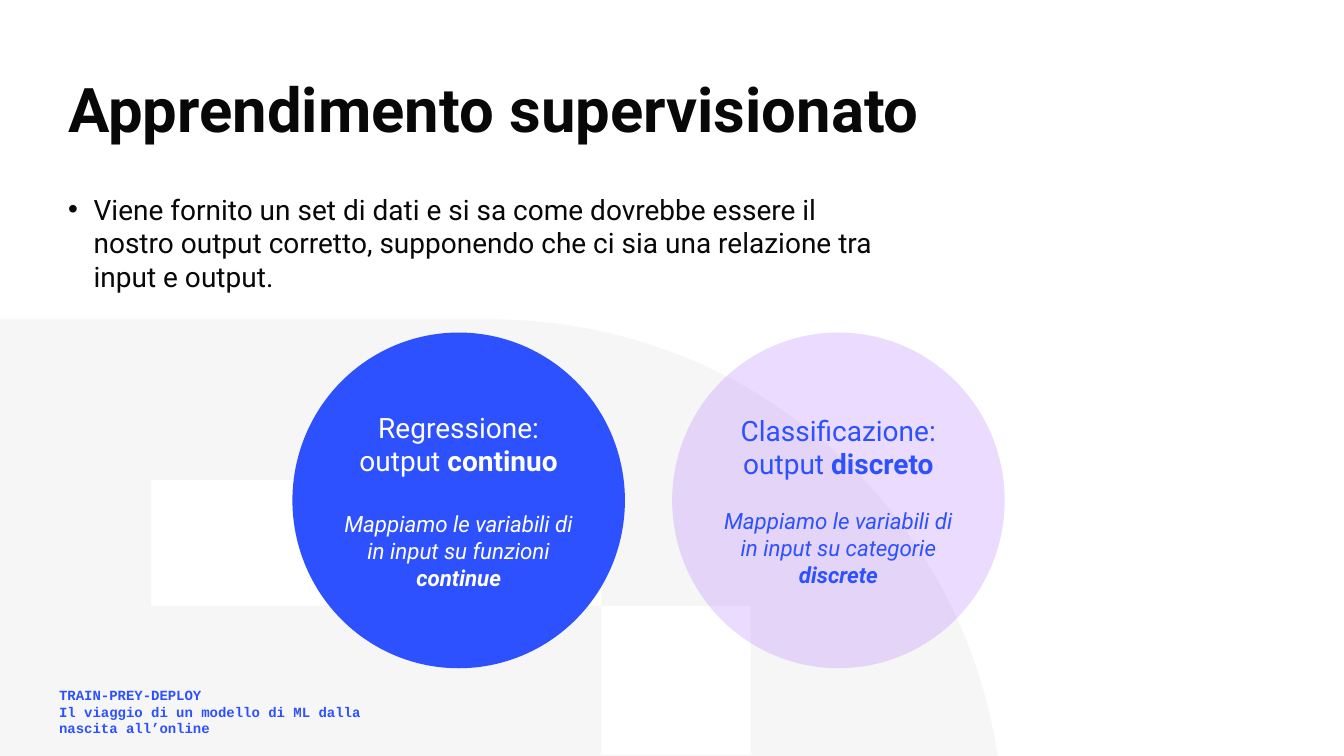
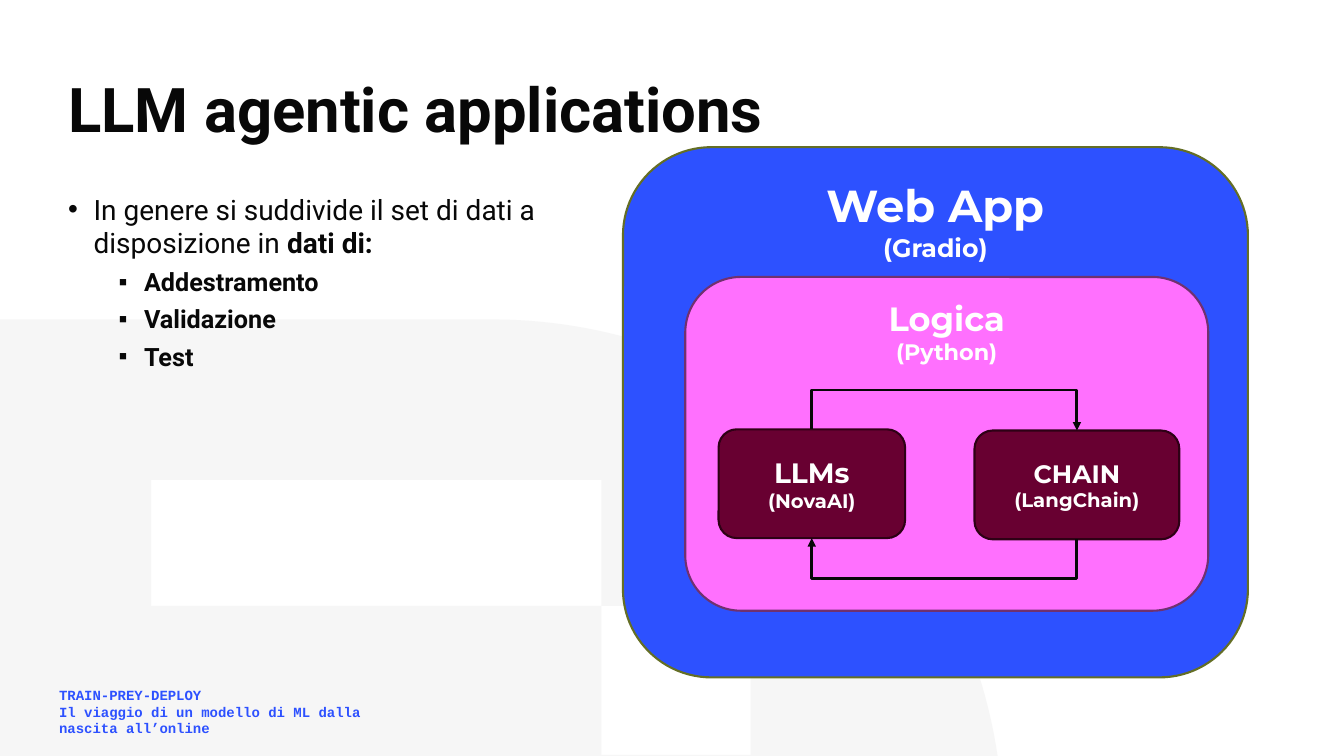
"""Build two slides on supervised learning and LLM applications."""
import dataclasses
import math

import lxml.etree
import pptx
import pptx.dml.color
import pptx.enum.shapes
import pptx.enum.text
import pptx.oxml.ns
import pptx.util

Cm = pptx.util.Cm
Pt = pptx.util.Pt
qn = pptx.oxml.ns.qn
Preset = pptx.enum.shapes.MSO_SHAPE
Align = pptx.enum.text.PP_ALIGN
Anchor = pptx.enum.text.MSO_ANCHOR


@dataclasses.dataclass(frozen=True)
class Theme:
    """Colours, fonts and type sizes of the deck."""

    ink: str = "080808"
    blue: str = "2D51FF"
    lilac: str = "C294FF"
    pink: str = "FF70FE"
    wine: str = "680031"
    white: str = "FFFFFF"
    emblem: str = "E6E6E6"
    olive_edge: str = "646E25"
    plum_edge: str = "70316F"
    wine_edge: str = "2E0015"
    text_font: str = "Roboto"
    diagram_font: str = "Montserrat"
    footer_font: str = "Courier New"
    title_size: int = 44
    app_size: int = 32
    logic_size: int = 24
    body_size: int = 20
    item_size: int = 18
    detail_size: int = 16
    small_size: int = 14
    footer_size: int = 10
    edge_width: float = 1.5
    arrow_width: float = 2


THEME = Theme()


@dataclasses.dataclass
class Line:
    """One paragraph: its runs, type format, spacing and bullet."""

    runs: list
    size: int
    bold: bool = False
    italic: bool = False
    before: float = 0
    bullet: str = ""
    indent: float = 0


def rgb(value):
    """Return a colour from its hex value."""
    return pptx.dml.color.RGBColor.from_string(value)


def add_child(parent, tag, **attributes):
    """Append a drawing element and return it."""
    return lxml.etree.SubElement(parent, qn(tag), attributes)


def apply_format(target, values):
    """Set attributes from a dict of values."""
    for name, value in values.items():
        setattr(target, name, value)


def set_bullet(paragraph, mark, indent):
    """Give a paragraph a bullet with a hanging indent."""
    properties = paragraph._p.get_or_add_pPr()
    properties.set("marL", str(Cm(indent)))
    properties.set("indent", str(-Cm(0.64)))
    add_child(properties, "a:buFont", typeface="Arial")
    add_child(properties, "a:buChar", char=mark)


def write(frame, lines, font, color, paragraph_format=None, **frame_format):
    """Fill a text frame with lines; a run marked True is bold."""
    apply_format(frame, {"word_wrap": True, **frame_format})
    for index, line in enumerate(lines):
        paragraph = frame.paragraphs[0] if index == 0 else frame.add_paragraph()
        if line.bullet:
            set_bullet(paragraph, line.bullet, line.indent)
        if line.before:
            paragraph.space_before = Pt(line.before)
        apply_format(paragraph, paragraph_format or {})
        for text, strong in line.runs:
            run = paragraph.add_run()
            run.text = text
            apply_format(run.font, {
                "name": font,
                "size": Pt(line.size),
                "bold": line.bold or strong,
                "italic": line.italic,
            })
            run.font.color.rgb = rgb(color)


def add_text(slide, box, lines, font, color, paragraph_format=None, **frame_format):
    """Add a text box at left, top, width, height in centimetres."""
    frame = slide.shapes.add_textbox(*map(Cm, box)).text_frame
    write(frame, lines, font, color, paragraph_format, **frame_format)


def paint(shape, fill, alpha=100, edge=None):
    """Set fill, opacity in percent and outline of a shape."""
    shape.shadow.inherit = False
    shape.fill.solid()
    shape.fill.fore_color.rgb = rgb(fill)
    if alpha < 100:
        color = shape._element.spPr.find(qn("a:solidFill"))[0]
        add_child(color, "a:alpha", val=str(alpha * 1000))
    if edge:
        shape.line.color.rgb = rgb(edge)
        shape.line.width = Pt(THEME.edge_width)
    else:
        shape.line.fill.background()


def add_emblem(slide):
    """Draw the pale rounded emblem with its two openings."""
    bottom, radius, center_x, center_y = 19.05, 12.88, 12.4, 20.93
    low = math.asin((center_y - bottom) / radius)
    steps = 60
    angles = [math.pi / 2 + (low - math.pi / 2) * i / steps for i in range(steps + 1)]
    arc = [
        (center_x + radius * math.cos(angle), center_y - radius * math.sin(angle))
        for angle in angles
    ]
    outline = [(0, bottom), (0, center_y - radius), *arc]
    openings = [(3.81, 12.09, 15.16, 15.27), (15.16, 15.27, 18.92, 19.02)]
    contours = [outline] + [
        [(left, top), (left, base), (right, base), (right, top)]
        for left, top, right, base in openings
    ]
    builder = None
    for contour in contours:
        start, *others = [(Cm(x), Cm(y)) for x, y in contour]
        if builder is None:
            builder = slide.shapes.build_freeform(*start)
        else:
            builder.move_to(*start)
        builder.add_line_segments(others, close=True)
    paint(builder.convert_to_shape(), THEME.emblem, alpha=34)


def add_page(deck, title):
    """Add a slide with the shared emblem, footer and title."""
    slide = deck.slides.add_slide(deck.slide_layouts[6])
    add_emblem(slide)
    footer = ["TRAIN-PREY-DEPLOY", "Il viaggio di un modello di ML dalla nascita all’online"]
    add_text(
        slide, (1.24, 17.17, 9.68, 1.12),
        [Line([(text, True)], THEME.footer_size) for text in footer],
        THEME.footer_font, THEME.blue,
    )
    add_text(
        slide, (1.47, 1.57, 25.12, 2.54), [Line([(title, True)], THEME.title_size)],
        THEME.text_font, THEME.ink, {"line_spacing": 0.9}, vertical_anchor=Anchor.MIDDLE,
    )
    return slide


def add_body(slide, width, height, runs, items=()):
    """Add the bulleted text with its second-level items."""
    lines = [Line(runs, THEME.body_size, bullet="•", indent=0.64)]
    lines += [
        Line([(item, True)], THEME.item_size, before=5, bullet="▪", indent=1.91)
        for item in items
    ]
    add_text(slide, (1.47, 4.72, width, height), lines, THEME.text_font, THEME.ink)


def add_task_circle(slide, left, fill, alpha, color, heading, output, mapping, gap):
    """Add a circle that explains one learning task."""
    circle = slide.shapes.add_shape(
        Preset.OVAL, Cm(left), Cm(8.38), Cm(8.38), Cm(8.46))
    paint(circle, fill, alpha)
    explanation = [
        ("Mappiamo le variabili di", False, gap),
        (mapping[0], False, 0),
        (mapping[1], True, 0),
    ]
    lines = [
        Line([(heading, False)], THEME.body_size),
        Line([("output ", False), (output, True)], THEME.body_size),
    ] + [
        Line([(text, strong)], THEME.detail_size, italic=True, before=before)
        for text, strong, before in explanation
    ]
    margins = {f"margin_{side}": 0 for side in ("left", "top", "right", "bottom")}
    write(
        circle.text_frame, lines, THEME.text_font, color, {"alignment": Align.CENTER},
        vertical_anchor=Anchor.MIDDLE, **{**margins, "word_wrap": False},
    )


def add_layer(slide, box, fill, edge, name, tool, sizes, anchor=Anchor.TOP):
    """Add a rounded box with a name and the tool behind it."""
    layer = slide.shapes.add_shape(Preset.ROUNDED_RECTANGLE, *map(Cm, box))
    paint(layer, fill, edge=edge)
    lines = [Line([(text, True)], size) for text, size in zip((name, tool), sizes)]
    write(
        layer.text_frame, lines, THEME.diagram_font, THEME.white,
        {"alignment": Align.CENTER}, vertical_anchor=anchor,
    )
    return layer


def add_loop_arrow(slide, source, target, site, turn):
    """Join the same side of two boxes with a bent arrow."""
    arrow = slide.shapes.add_connector(pptx.enum.shapes.MSO_CONNECTOR.ELBOW, 0, 0, 0, 0)
    arrow.begin_connect(source, site)
    arrow.end_connect(target, site)
    span = abs(arrow.end_x - arrow.begin_x)
    rise = abs(arrow.end_y - arrow.begin_y)
    middle_x = (arrow.begin_x + arrow.end_x) // 2
    middle_y = (arrow.begin_y + arrow.end_y) // 2
    apply_format(arrow, {
        "left": middle_x - rise // 2,
        "top": middle_y - span // 2,
        "width": rise,
        "height": span,
    })
    properties = arrow._element.spPr
    frame = properties.find(qn("a:xfrm"))
    frame.attrib.pop("flipV", None)
    frame.set("flipH", "1")
    frame.set("rot", str(turn * 60000))
    bend = round(-Cm(0.99) / rise * 100000)
    guides = properties.find(qn("a:prstGeom")).find(qn("a:avLst"))
    add_child(guides, "a:gd", name="adj1", fmla=f"val {bend}")
    arrow.line.color.rgb = rgb(THEME.ink)
    arrow.line.width = Pt(THEME.arrow_width)
    add_child(properties.find(qn("a:ln")), "a:tailEnd", type="triangle")
    add_child(properties, "a:effectLst")


def build_supervised(deck):
    """Build the slide on supervised learning."""
    slide = add_page(deck, "Apprendimento supervisionato")
    add_body(slide, 21.36, 2.92, [(
        "Viene fornito un set di dati e si sa come dovrebbe essere il nostro output "
        "corretto, supponendo che ci sia una relazione tra input e output.", False)])
    add_task_circle(
        slide, 16.94, THEME.lilac, 33, THEME.blue, "Classificazione:", "discreto",
        ("in input su categorie", "discrete"), 19)
    add_task_circle(
        slide, 7.37, THEME.blue, 100, THEME.white, "Regressione:", "continuo",
        ("in input su funzioni", "continue"), 23.5)


def build_agentic(deck):
    """Build the slide on LLM agentic applications."""
    slide = add_page(deck, "LLM agentic applications")
    add_body(
        slide, 12.85, 10.92,
        [("In genere si suddivide il set di dati a disposizione in ", False),
         ("dati di:", True)],
        ["Addestramento", "Validazione", "Test"])
    add_layer(
        slide, (15.7, 3.71, 15.75, 13.36), THEME.blue, THEME.olive_edge,
        "Web App", "(Gradio)", (THEME.app_size, THEME.item_size))
    add_layer(
        slide, (17.27, 6.98, 13.18, 8.41), THEME.pink, THEME.plum_edge,
        "Logica", "(Python)", (THEME.logic_size, THEME.detail_size))
    chain = add_layer(
        slide, (24.56, 10.85, 5.16, 2.74), THEME.wine, THEME.wine_edge,
        "CHAIN", "(LangChain)", (THEME.item_size, THEME.small_size), Anchor.MIDDLE)
    models = add_layer(
        slide, (18.11, 10.82, 4.7, 2.74), THEME.wine, THEME.wine_edge,
        "LLMs", "(NovaAI)", (THEME.body_size, THEME.small_size), Anchor.MIDDLE)
    add_loop_arrow(slide, models, chain, 0, 270)
    add_loop_arrow(slide, chain, models, 2, 90)


def main():
    """Build and save the deck."""
    deck = pptx.Presentation()
    apply_format(deck, {"slide_width": Cm(33.87), "slide_height": Cm(19.05)})
    build_supervised(deck)
    build_agentic(deck)
    deck.save("out.pptx")


if __name__ == "__main__":
    main()
